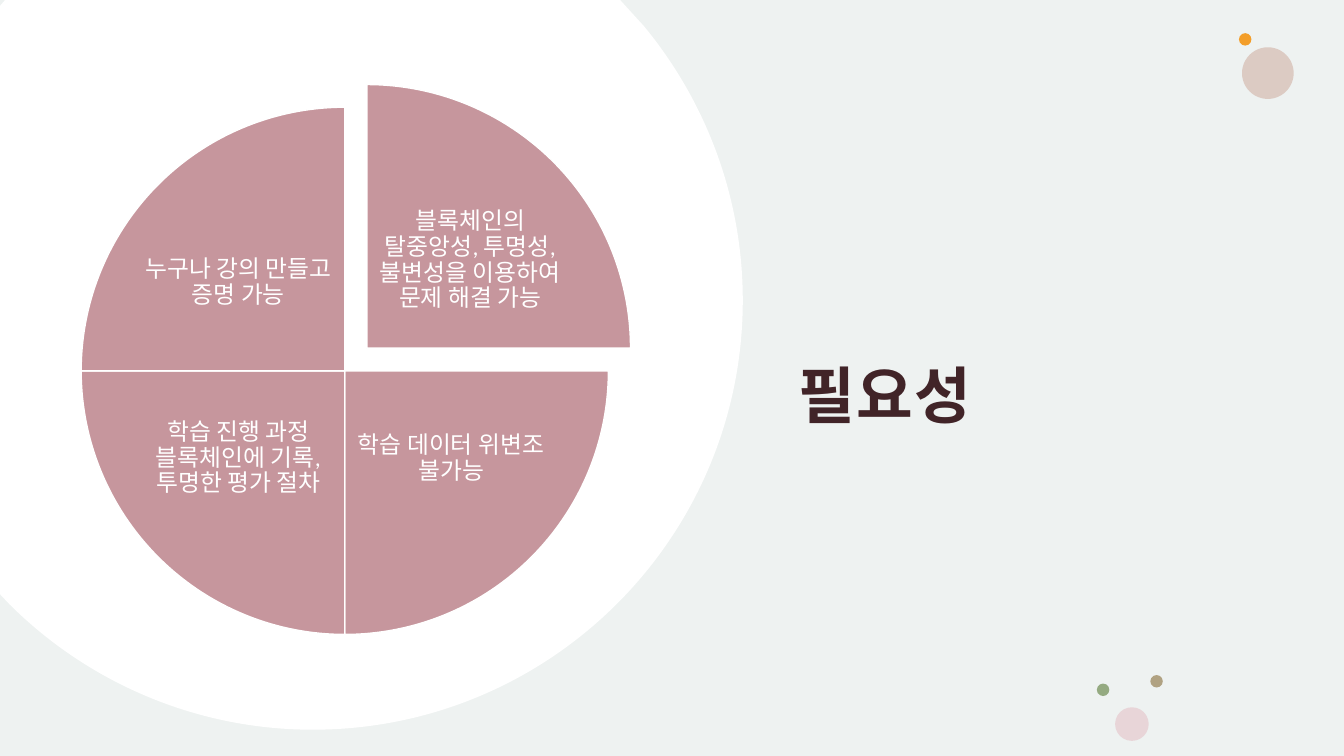
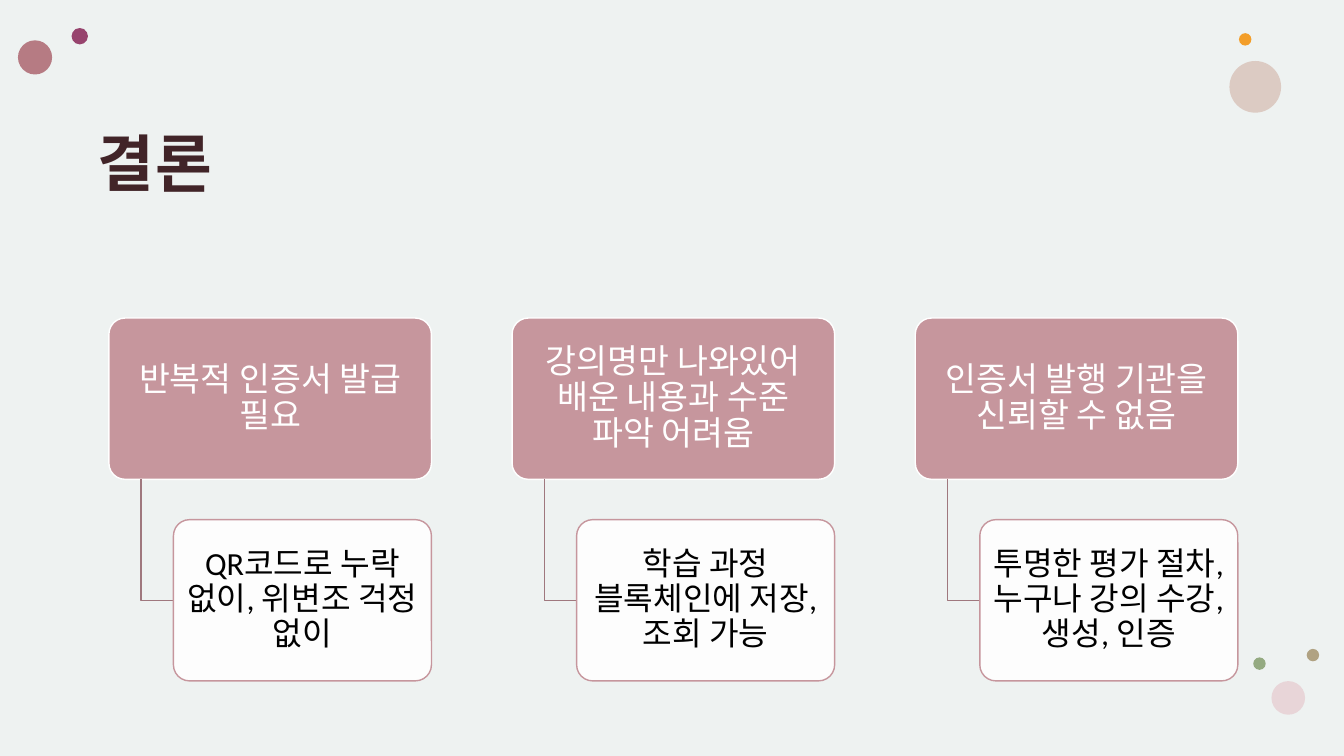
from dataclasses import dataclass
from itertools import chain

from lxml.etree import SubElement
from pptx import Presentation
from pptx.dml.color import RGBColor
from pptx.enum.shapes import MSO_SHAPE
from pptx.enum.text import MSO_ANCHOR, MSO_AUTO_SIZE, PP_ALIGN
from pptx.oxml.ns import qn
from pptx.presentation import Presentation as Deck
from pptx.shapes.autoshape import Shape
from pptx.slide import Slide
from pptx.text.text import TextFrame
from pptx.util import Pt

Point = tuple[float, float]

FONT = "Calibri"
COLORS = {
    "backdrop": "C8D4D2",
    "white": "FFFFFF",
    "black": "000000",
    "title": "412428",
    "rose": "C6969D",
    "elbow": "9F787E",
    "beige": "D6BCB2",
    "orange": "F39E29",
    "tan": "B0A282",
    "pink": "E8D5D8",
    "green": "94AA81",
    "plum": "97446E",
    "dusty rose": "B67B83",
}
SLIDE_WIDTH, SLIDE_HEIGHT = 960, 540
PIE_LEFT, PIE_TOP, PIE_SIZE = 58, 76.6, 376.6
PIE_TEXT_WIDTH, PIE_TEXT_HEIGHT = 139, 112.3
CARD_LEFT, CARD_TOP, CARD_PITCH = 77.8, 227.2, 288
CARD_WIDTH, CARD_HEIGHT = 230.4, 115.2
ANSWER_INDENT, ANSWER_DROP = 46.1, 144
ANSWER_WIDTH = CARD_WIDTH - ANSWER_INDENT
CARD_SIDE_MARGIN = 0.22

DISC_START: Point = (223.4, 521.2)
DISC_SEGMENTS: list[list[Point]] = [
    [(139, 521.2), (61.9, 486.7), (6.5, 431.3)],
    [(0, 424.4)],
    [(0, 4.2)],
    [(3.7, 0)],
    [(443, 0)],
    [(460, 18.7)],
    [(504, 72), (530.6, 140.4), (530.6, 214.6)],
    [(530.6, 383.8), (393.1, 521.2), DISC_START],
]


@dataclass(frozen=True)
class Box:
    left: float
    top: float
    width: float
    height: float

    def lengths(self) -> tuple[Pt, Pt, Pt, Pt]:
        return Pt(self.left), Pt(self.top), Pt(self.width), Pt(self.height)


@dataclass(frozen=True)
class Dot:
    left: float
    top: float
    size: float
    color: str
    opacity: int = 100


@dataclass(frozen=True)
class Slice:
    """A quarter of the pie; angles are in degrees clockwise from the right."""
    text: str
    start: int
    end: int
    text_left: float
    text_top: float
    shift_x: float = 0
    shift_y: float = 0


@dataclass(frozen=True)
class Card:
    problem: str
    answer: str


ORANGE_DOT = Dot(885, 23.7, 8.9, "orange")
SLICES = [
    Slice("블록체인의 탈중앙성, 투명성, 불변성을 이용하여 문제 해결 가능",
          270, 0, 266.4, 130, 15.8, -16.2),
    Slice("학습 데이터 위변조 불가능", 0, 90, 252.7, 271.4),
    Slice("학습 진행 과정 블록체인에 기록, 투명한 평가 절차", 90, 180, 100.8, 271.4),
    Slice("누구나 강의 만들고 증명 가능", 180, 270, 100.8, 146),
]
CARDS = [
    Card("반복적 인증서 발급 필요", "QR코드로 누락 없이, 위변조 걱정 없이"),
    Card("강의명만 나와있어 배운 내용과 수준 파악 어려움", "학습 과정 블록체인에 저장, 조회 가능"),
    Card("인증서 발행 기관을 신뢰할 수 없음", "투명한 평가 절차, 누구나 강의 수강, 생성, 인증"),
]


def rgb(color: str) -> RGBColor:
    return RGBColor.from_string(COLORS[color])


def paint(shape: Shape, fill: str | None, line: str | None = None, opacity: int = 100) -> None:
    shape.shadow.inherit = False
    if fill:
        shape.fill.solid()
        shape.fill.fore_color.rgb = rgb(fill)
        if opacity < 100:
            color = shape.element.spPr.find(f"{qn('a:solidFill')}/{qn('a:srgbClr')}")
            SubElement(color, qn("a:alpha")).set("val", str(opacity * 1000))
    else:
        shape.fill.background()
    if line:
        shape.line.color.rgb = rgb(line)
        shape.line.width = Pt(1)
    else:
        shape.line.fill.background()


def set_margins(frame: TextFrame, left: float, top: float, right: float, bottom: float) -> None:
    frame.margin_left, frame.margin_top = Pt(left), Pt(top)
    frame.margin_right, frame.margin_bottom = Pt(right), Pt(bottom)


def write_centred(frame: TextFrame, text: str, size: float, color: str, side: float) -> None:
    """Write one centred paragraph; side is the side margin as a share of the size."""
    frame.word_wrap = True
    frame.vertical_anchor = MSO_ANCHOR.MIDDLE
    set_margins(frame, side * size, 0.1 * size, side * size, 0.1 * size)
    paragraph = frame.paragraphs[0]
    paragraph.alignment = PP_ALIGN.CENTER
    paragraph.line_spacing = 0.9
    run = paragraph.add_run()
    run.text = text
    run.font.name, run.font.size = FONT, Pt(size)
    run.font.color.rgb = rgb(color)


def add_titled_slide(presentation: Deck, text: str, box: Box, anchor: MSO_ANCHOR) -> Slide:
    """Add a slide with the tinted backdrop and its title in front of it."""
    slide = presentation.slides.add_slide(presentation.slide_layouts[5])
    title = slide.shapes.title
    backdrop_box = Box(0, 0, SLIDE_WIDTH, SLIDE_HEIGHT)
    backdrop = slide.shapes.add_shape(MSO_SHAPE.RECTANGLE, *backdrop_box.lengths())
    paint(backdrop, "backdrop", opacity=30)
    title.element.addprevious(backdrop.element)

    title.left, title.top, title.width, title.height = box.lengths()
    frame = title.text_frame
    frame.word_wrap = True
    frame.auto_size = MSO_AUTO_SIZE.NONE
    frame.vertical_anchor = anchor
    set_margins(frame, 8.64, 8.64, 8.64, 7.2)
    paragraph = frame.paragraphs[0]
    paragraph.alignment = PP_ALIGN.LEFT
    paragraph.line_spacing = 1.1
    run = paragraph.add_run()
    run.text = text
    run.font.name, run.font.size, run.font.bold = FONT, Pt(44), True
    run.font.color.rgb = rgb("title")
    run._r.get_or_add_rPr().set("spc", "100")
    return slide


def add_dots(slide: Slide, dots: list[Dot]) -> None:
    for dot in dots:
        box = Box(dot.left, dot.top, dot.size, dot.size)
        shape = slide.shapes.add_shape(MSO_SHAPE.OVAL, *box.lengths())
        paint(shape, dot.color, opacity=dot.opacity)


def bottom_trio(left: float, top: float) -> list[Dot]:
    """Return the pink dot at the given place with its two small neighbours."""
    return [
        Dot(left + 25.2, top - 23, 8.9, "tan"),
        Dot(left, top, 24, "pink"),
        Dot(left - 13, top - 16.9, 8.9, "green"),
    ]


def beige_dot(left: float, top: float) -> Dot:
    return Dot(left, top, 36.9, "beige", 72)


def add_path(slide: Slide, start: Point, segments: list[list[Point]], closed: bool) -> Shape:
    """Draw an outline; a segment of three points is a Bezier curve, of one a line."""
    builder = slide.shapes.build_freeform(Pt(start[0]), Pt(start[1]), scale=1.0)
    points = chain.from_iterable(segments)
    builder.add_line_segments([(Pt(x), Pt(y)) for x, y in points], close=closed)
    shape = builder.convert_to_shape()
    steps = iter(list(shape.element.iter(qn("a:lnTo"))))
    for segment in segments:
        first, *others = [next(steps) for _ in segment]
        if others:
            first.tag = qn("a:cubicBezTo")
            for step in others:
                first.append(step[0])
                step.getparent().remove(step)
    return shape


def add_slice(slide: Slide, part: Slice) -> None:
    box = Box(PIE_LEFT + part.shift_x, PIE_TOP + part.shift_y, PIE_SIZE, PIE_SIZE)
    shape = slide.shapes.add_shape(MSO_SHAPE.PIE, *box.lengths())
    shape.adjustments[0] = part.start * 0.6
    shape.adjustments[1] = part.end * 0.6
    paint(shape, "rose", "white")
    text_box = Box(part.text_left, part.text_top, PIE_TEXT_WIDTH, PIE_TEXT_HEIGHT)
    label = slide.shapes.add_textbox(*text_box.lengths())
    write_centred(label.text_frame, part.text, 17, "white", 0.1)


def add_rounded_box(slide: Slide, box: Box) -> Shape:
    shape = slide.shapes.add_shape(MSO_SHAPE.ROUNDED_RECTANGLE, *box.lengths())
    shape.adjustments[0] = 0.1
    return shape


def add_card(slide: Slide, card: Card, left: float) -> None:
    problem = add_rounded_box(slide, Box(left, CARD_TOP, CARD_WIDTH, CARD_HEIGHT))
    paint(problem, "rose", "white")
    write_centred(problem.text_frame, card.problem, 24, "white", CARD_SIDE_MARGIN)

    answer_left, answer_top = left + ANSWER_INDENT, CARD_TOP + ANSWER_DROP
    elbow_x, elbow_y = left + CARD_WIDTH / 10, answer_top + CARD_HEIGHT / 2
    elbow = add_path(slide, (elbow_x, CARD_TOP + CARD_HEIGHT),
                     [[(elbow_x, elbow_y)], [(answer_left, elbow_y)]], closed=False)
    paint(elbow, None, "elbow")

    answer = add_rounded_box(slide, Box(answer_left, answer_top, ANSWER_WIDTH, CARD_HEIGHT))
    paint(answer, "white", "rose", opacity=90)
    write_centred(answer.text_frame, card.answer, 23, "black", CARD_SIDE_MARGIN)


def add_need_slide(presentation: Deck) -> None:
    slide = add_titled_slide(presentation, "필요성", Box(561.6, 74.9, 362.9, 406.1),
                             MSO_ANCHOR.MIDDLE)
    paint(add_path(slide, DISC_START, DISC_SEGMENTS, closed=True), "white")
    add_dots(slide, [beige_dot(887.2, 33.8), ORANGE_DOT, *bottom_trio(796.5, 505.2)])
    for part in SLICES:
        add_slice(slide, part)


def add_conclusion_slide(presentation: Deck) -> None:
    slide = add_titled_slide(presentation, "결론", Box(61, 75.4, 848.2, 141.8),
                             MSO_ANCHOR.TOP)
    add_dots(slide, [
        Dot(51.1, 20, 11.7, "plum"),
        beige_dot(878.2, 43.6),
        ORANGE_DOT,
        Dot(12.8, 28.8, 24.4, "dusty rose"),
        *bottom_trio(908.2, 486.5),
    ])
    for index, card in enumerate(CARDS):
        add_card(slide, card, CARD_LEFT + index * CARD_PITCH)


def main() -> None:
    presentation = Presentation()
    presentation.slide_width, presentation.slide_height = Pt(SLIDE_WIDTH), Pt(SLIDE_HEIGHT)
    add_need_slide(presentation)
    add_conclusion_slide(presentation)
    presentation.save("out.pptx")


if __name__ == "__main__":
    main()
